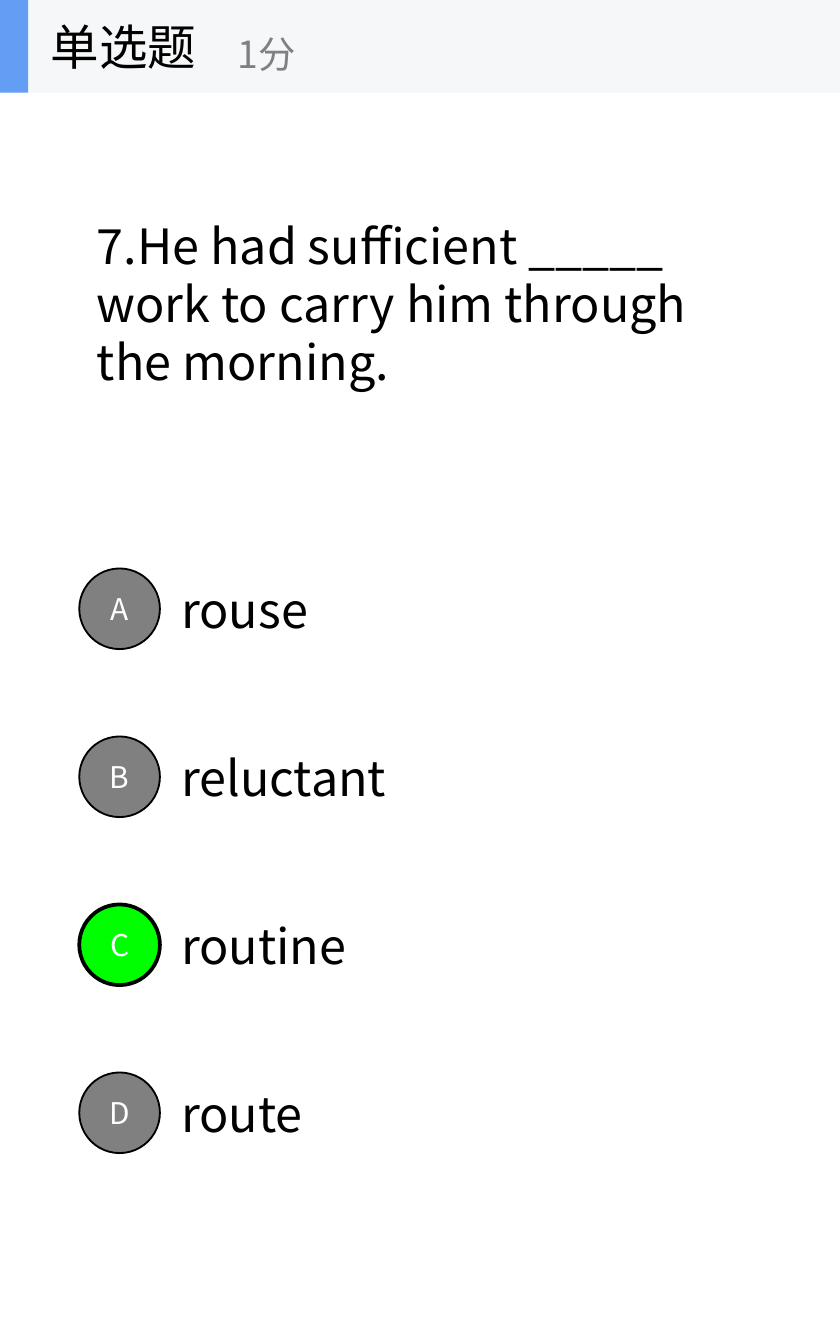
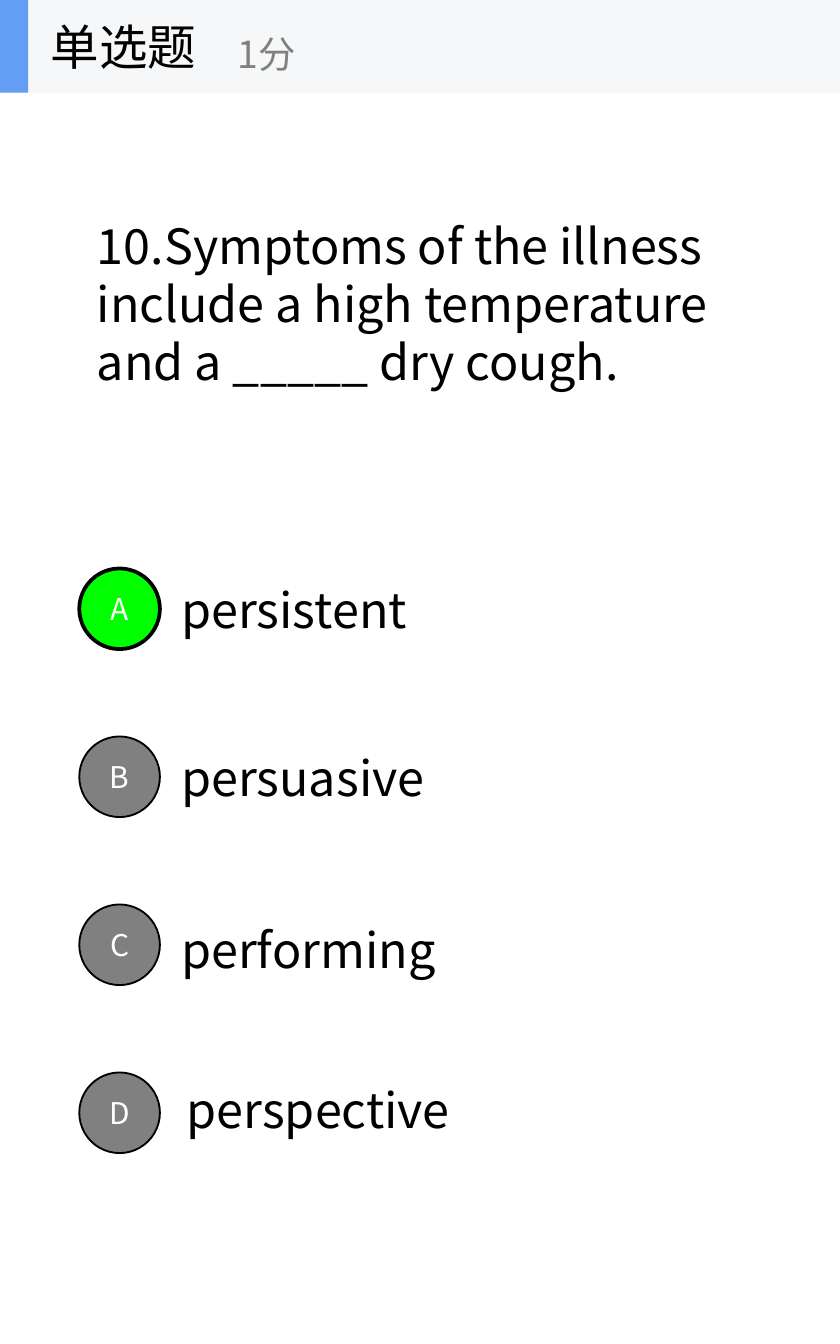
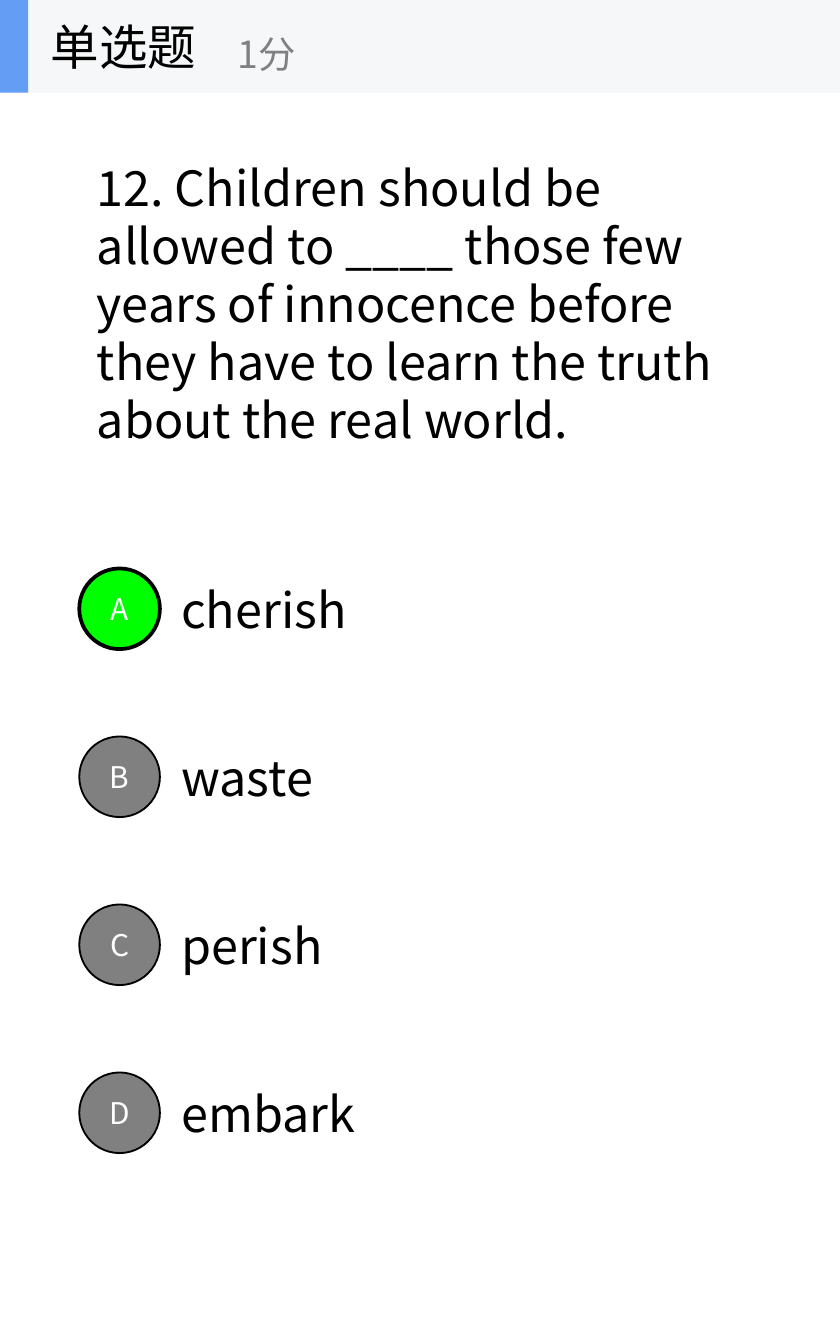
from collections import namedtuple

from lxml import etree
from pptx import Presentation
from pptx import util as u
from pptx.dml.color import RGBColor
from pptx.enum import shapes, text
from pptx.oxml import ns

FONT = "Noto Sans CJK SC"
BLACK, WHITE, GREY = "000000", "FFFFFF", "808080"
BAND, ACCENT, CORRECT = "F6F7F8", "639EF4", "00FF00"
TITLE_ONLY = 5
BAND_HEIGHT = 0.69
FIRST_OPTION, OPTION_STEP = 4.23, 1.25
CIRCLE_LEFT, CIRCLE_SIZE = 0.59, 0.6

Option = namedtuple("Option", "word width left offset", defaults=(1.25, 0.03))
Question = namedtuple("Question", "wording area answer options")

QUESTIONS = [
    Question(
        "7.He had sufficient _____ work to carry him through the morning.",
        (0.62, 1.55, 4.99, 1.41), "C",
        [Option("rouse", 3.31), Option("reluctant", 3.31),
         Option("routine", 3.83), Option("route", 2.27)]),
    Question(
        "10.Symptoms of the illness include a high temperature and a _____ dry cough.",
        (0.62, 1.55, 4.99, 1.41), "A",
        [Option("persistent", 4.58), Option("persuasive", 4.37),
         Option("performing", 3.84, offset=0.06),
         Option("perspective", 4.37, left=1.29, offset=0)]),
    Question(
        "12. Children should be allowed to ____ those few years of innocence "
        "before they have to learn the truth about the real world.",
        (0.62, 1.12, 5, 2.27), "A",
        [Option("cherish", 1.54), Option("waste", 1.29),
         Option("perish", 1.36), Option("embark", 1.61)]),
]


def color(code):
    """Turn a hex string into a colour."""
    return RGBColor.from_string(code)


def inches(*lengths):
    """Convert several lengths to inches."""
    return [u.Inches(length) for length in lengths]


def apply(target, values):
    """Set each attribute named in a dict of format values."""
    for name, value in values.items():
        setattr(target, name, value)


def write(box, wording, size, code, align=text.PP_ALIGN.LEFT, wrap=True, grow=False):
    """Write one formatted, vertically centred paragraph into a box."""
    fit = text.MSO_AUTO_SIZE.SHAPE_TO_FIT_TEXT if grow else text.MSO_AUTO_SIZE.NONE
    apply(box.text_frame, {"word_wrap": wrap, "auto_size": fit,
                           "vertical_anchor": text.MSO_ANCHOR.MIDDLE})
    para = box.text_frame.paragraphs[0]
    para.alignment = align
    span = para.add_run()
    span.text = wording
    apply(span.font, {"name": FONT, "size": u.Pt(size)})
    span.font.color.rgb = color(code)
    east_asian = etree.SubElement(span._r.get_or_add_rPr(), ns.qn("a:ea"))
    east_asian.set("typeface", FONT)


def add_label(parent, area, wording, size, code, **layout):
    """Add a text box with one line of text."""
    box = parent.shapes.add_textbox(*inches(*area))
    write(box, wording, size, code, **layout)


def add_filled(parent, kind, area, fill, line_width=0):
    """Add a flat preset shape, outlined in black if a width is given."""
    shape = parent.shapes.add_shape(kind, *inches(*area))
    shape.shadow.inherit = False
    shape.fill.solid()
    shape.fill.fore_color.rgb = color(fill)
    if line_width:
        shape.line.color.rgb = color(BLACK)
        shape.line.width = u.Pt(line_width)
    else:
        shape.line.fill.background()
    return shape


def add_question(page, question):
    """Place the question in the title placeholder."""
    box = page.shapes.title
    apply(box, dict(zip(("left", "top", "width", "height"), inches(*question.area))))
    write(box, question.wording, 26, BLACK, grow=True)


def add_option(page, letter, option, top, correct):
    """Add an answer and its lettered circle."""
    add_label(page, (option.left, top + option.offset, option.width, 0.54),
              option.word, 26, BLACK, grow=True)
    circle = add_filled(page, shapes.MSO_SHAPE.OVAL,
                        (CIRCLE_LEFT, top, CIRCLE_SIZE, CIRCLE_SIZE),
                        CORRECT if correct else GREY, 2 if correct else 1)
    apply(circle.text_frame, dict.fromkeys(("margin_left", "margin_right"), 0))
    write(circle, letter, 16, WHITE, align=text.PP_ALIGN.CENTER)


def add_header(page):
    """Add the grouped band with the question type and its score."""
    header = page.shapes.add_group_shape()
    for width, fill in ((6.25, BAND), (0.21, ACCENT)):
        add_filled(header, shapes.MSO_SHAPE.RECTANGLE, (0, 0, width, BAND_HEIGHT), fill)
    add_label(header, (0.28, 0, 2.08, BAND_HEIGHT), "单选题", 26, BLACK, wrap=False)
    add_label(header, (1.67, 0.12, 2.5, 0.56), "1分", 20, GREY, wrap=False)


def main():
    """Build one page per question and save the deck."""
    deck = Presentation()
    apply(deck, {"slide_width": u.Inches(6.25), "slide_height": u.Inches(10)})
    for question in QUESTIONS:
        page = deck.slides.add_slide(deck.slide_layouts[TITLE_ONLY])
        add_question(page, question)
        for row, (letter, option) in enumerate(zip("ABCD", question.options)):
            add_option(page, letter, option, FIRST_OPTION + row * OPTION_STEP,
                       letter == question.answer)
        add_header(page)
    deck.save("out.pptx")


if __name__ == "__main__":
    main()
